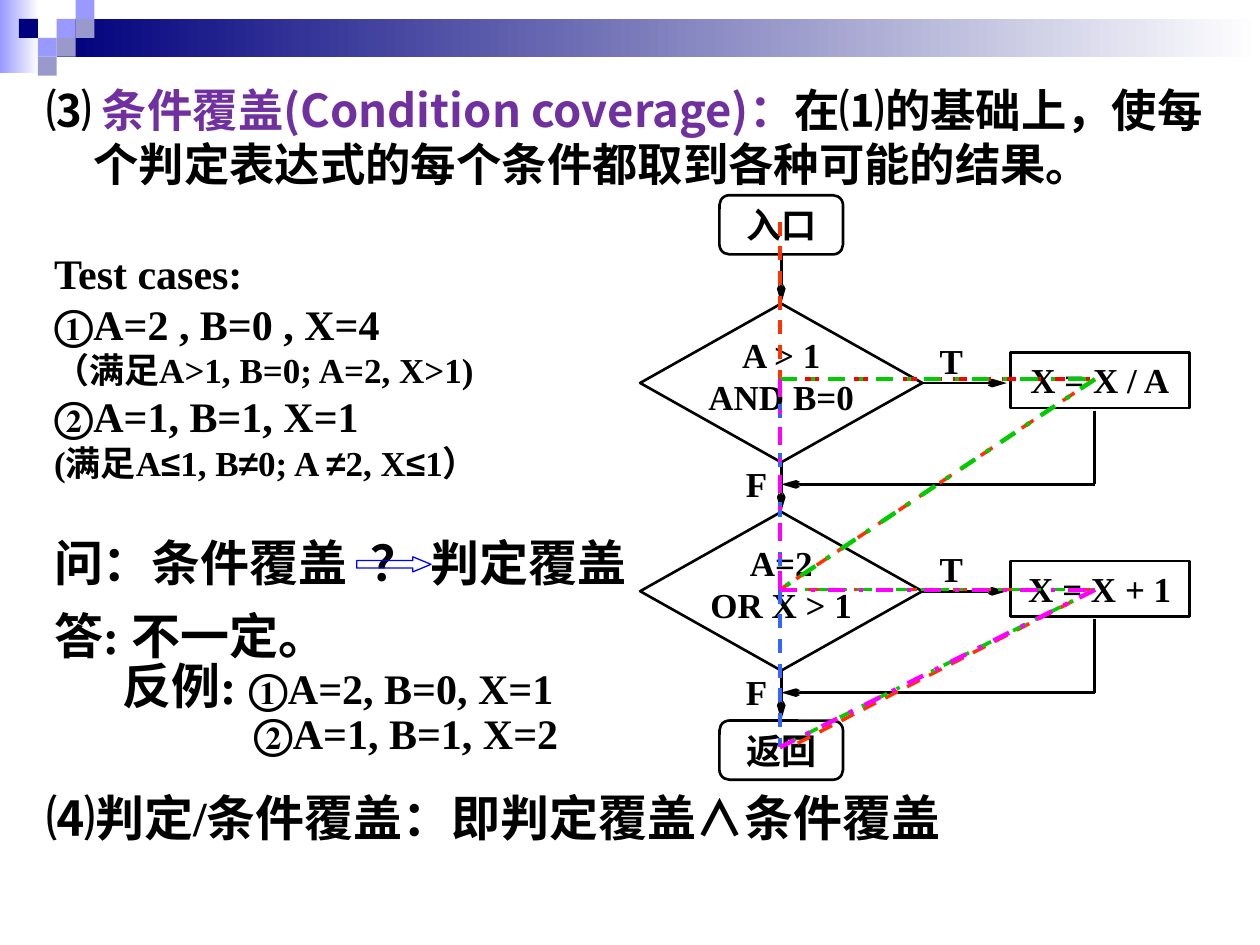
from itertools import groupby

from lxml import etree
from pptx import Presentation
from pptx.dml.color import RGBColor
from pptx.enum.dml import MSO_LINE
from pptx.enum.shapes import MSO_CONNECTOR, MSO_SHAPE
from pptx.enum.text import MSO_ANCHOR, PP_ALIGN
from pptx.oxml.ns import qn
from pptx.util import Pt

LEFT, CENTER, RIGHT = PP_ALIGN.LEFT, PP_ALIGN.CENTER, PP_ALIGN.RIGHT
TOP, MIDDLE = MSO_ANCHOR.TOP, MSO_ANCHOR.MIDDLE
RECT, ARROW = MSO_SHAPE.RECTANGLE, MSO_SHAPE.RIGHT_ARROW
TERMINAL = MSO_SHAPE.FLOWCHART_ALTERNATE_PROCESS
DECISION = MSO_SHAPE.FLOWCHART_DECISION
STRAIGHT = MSO_CONNECTOR.STRAIGHT
DASH, DASH_DOT = MSO_LINE.DASH, MSO_LINE.DASH_DOT
MATH_SYMBOLS = "≤≠∧"
INSETS = (7.2, 3.6, 7.2, 3.6)


def color(hex_code):
    return RGBColor.from_string(hex_code)


class FlowSlide:
    font, math_font, ink = "Times New Roman", "Arial", "000000"

    def __init__(self, page):
        self.page = page

    def fill_frame(self, frame, paras, size, align=LEFT, anchor=TOP, wrap=True,
                   insets=INSETS, hang=0, spacing=None):
        """Each para is a string or a list of (text, size, font, colour) spans."""
        frame.word_wrap, frame.vertical_anchor = wrap, anchor
        (frame.margin_left, frame.margin_top,
         frame.margin_right, frame.margin_bottom) = map(Pt, insets)
        for index, content in enumerate(paras):
            para = frame.paragraphs[0] if index == 0 else frame.add_paragraph()
            para.alignment = align
            if spacing:
                para.line_spacing = spacing
            if hang:
                self.indent(para, hang, -hang)
            spans = [(content,)] if isinstance(content, str) else content
            for text, *style in spans:
                defaults = (size, self.font, self.ink)
                self.add_span(para, text, *style, *defaults[len(style):])

    def add_span(self, para, text, size, font, ink):
        """Add bold text, giving mathematical symbols their own font."""
        for symbol, chars in groupby(text, lambda char: char in MATH_SYMBOLS):
            span = para.add_run()
            span.text = "".join(chars)
            span.font.name = self.math_font if symbol else font
            span.font.size, span.font.bold = Pt(size), True
            span.font.color.rgb = color(ink)

    def indent(self, para, left, first=0):
        props = para._p.get_or_add_pPr()
        props.set("marL", str(Pt(left)))
        props.set("indent", str(Pt(first)))

    def tab_stop(self, para, position):
        stops = etree.SubElement(para._p.get_or_add_pPr(), qn("a:tabLst"))
        etree.SubElement(stops, qn("a:tab"), pos=str(Pt(position)), algn="l")

    def text(self, x, y, width, height, paras, size, **style):
        box = self.page.shapes.add_textbox(Pt(x), Pt(y), Pt(width), Pt(height))
        self.fill_frame(box.text_frame, paras, size, **style)
        return box.text_frame.paragraphs

    def shape(self, kind, x, y, width, height, fill=None, line=None, weight=1.5):
        """A fill of two colours becomes a gradient from left to right."""
        shape = self.page.shapes.add_shape(kind, Pt(x), Pt(y), Pt(width), Pt(height))
        shape.shadow.inherit = False
        if isinstance(fill, tuple):
            shape.fill.gradient()
            shape.fill.gradient_angle = 0
            for stop, code in zip(shape.fill.gradient_stops, fill):
                stop.color.rgb = color(code)
        elif fill:
            shape.fill.solid()
            shape.fill.fore_color.rgb = color(fill)
        else:
            shape.fill.background()
        if line:
            shape.line.color.rgb = color(line)
            shape.line.width = Pt(weight)
        else:
            shape.line.fill.background()
        return shape

    def node(self, kind, x, y, width, height, paras, **style):
        shape = self.shape(kind, x, y, width, height, line=self.ink)
        self.fill_frame(shape.text_frame, paras, 20, align=CENTER, **style)

    def line(self, start, end, ink=ink, weight=1.5, dash=None, arrow=False):
        line = self.page.shapes.add_connector(STRAIGHT, *map(Pt, start + end))
        line.line.color.rgb = color(ink)
        line.line.width = Pt(weight)
        if dash:
            line.line.dash_style = dash
        props = line._element.spPr
        if arrow:
            etree.SubElement(props.find(qn("a:ln")), qn("a:tailEnd"),
                             type="arrow", w="sm", len="lg")
        etree.SubElement(props, qn("a:effectLst"))

    def route(self, ink, weight, dash, *points):
        for start, end in zip(points, points[1:]):
            self.line(start, end, ink, weight, dash)


def add_banner(slide):
    unit = 10.8
    slide.shape(RECT, 0, 0, 22.3, 41.8, ("9999FF", "FFFFFF"))
    slide.shape(RECT, 3 * unit, unit, 687.6, 2 * unit, ("00007D", "FFFFFF"))
    for column, row, fill in ((3, 1, "9999FF"), (4, 0, "9999FF"), (4, 1, "9999CC"),
                              (2, 2, "9999FF"), (1, 1, "00007D"), (3, 2, "9999CC"),
                              (2, 3, "9999CC")):
        slide.shape(RECT, column * unit, row * unit, unit, unit, fill)


def add_texts(slide):
    slide.text(19.4, 43.2, 678.2, 90, [[
        ("⑶ ",),
        ("条件覆盖(Condition coverage)：", 25.9, "Noto Sans CJK JP", "7030A0"),
        ("在⑴的基础上，使每个判定表达式的每个条件都取到各种可能的结果。",),
    ]], 25.9, hang=27)
    slide.text(23.8, 138.2, 275.8, 165.6, [
        "Test cases:",
        "①A=2 , B=0 , X=4",
        [("（满足A>1, B=0; A=2, X>1)", 20)],
        "②A=1, B=1, X=1",
        [("(满足A≤1, B≠0; A ≠2, X≤1）", 20)],
    ], 24, hang=31)
    question = slide.text(23.8, 306, 378, 64.8, ["问：条件覆盖\t？ 判定覆盖"], 28,
                          spacing=0.85)
    slide.tab_stop(question[0], 181)
    answer = slide.text(23.8, 347.8, 329.8, 117.4, [
        "答: 不一定。",
        [("反例: ",), ("①A=2, B=0, X=1", 24)],
        [("②A=1, B=1, X=2", 24)],
    ], 28, spacing=0.85)
    slide.indent(answer[1], 39)
    slide.indent(answer[2], 114)
    slide.text(19.4, 451.4, 671.8, 36, ["⑷判定/条件覆盖：即判定覆盖∧条件覆盖"], 28,
               spacing=0.85)
    implies = slide.shape(ARROW, 203.8, 318.2, 42.5, 8.6, line="0000FF", weight=0.75)
    implies.adjustments[1] = 1.21


def add_flowchart(slide):
    axis, action_x, stage = 446.4, 625.5, 119
    for y, label in ((111.6, "入口"), (411.8, "返回")):
        slide.node(TERMINAL, axis - 35.3, y, 70.6, 33.8, [label],
                   anchor=MIDDLE, wrap=False)
    slide.line((axis, 145.4), (axis, 173.5), arrow=True)
    stages = ((["A > 1", "AND B=0"], "X = X / A"), (["A=2", "OR X > 1"], "X = X + 1"))
    for index, (condition, action) in enumerate(stages):
        top = 173.5 + index * stage
        middle, bottom, merge = top + 45.4, top + 90.7, top + 103.3
        slide.node(DECISION, axis - 80.6, top, 161.3, 90.7, condition,
                   anchor=MIDDLE, wrap=False, insets=(1.4, 0.7, 1.4, 9.4))
        slide.node(RECT, 577.4, top + 28.1, 102.2, 31.7, [action])
        slide.line((527.5, middle), (575.3, middle), arrow=True)
        slide.line((axis, bottom), (axis, bottom + 28.3), arrow=True)
        slide.line((action_x, top + 61.2), (action_x, merge))
        slide.line((action_x, merge), (axis, merge), arrow=True)
        slide.text(522.7, top + 16.8, 41.8, 31.7, ["T"], 20, align=CENTER)
        slide.text(415.4, top + 87, 30.2, 31.7, ["F"], 20, align=RIGHT)


def add_routes(slide):
    main_x, side_x = 445.7, 625.7
    entry, finish, red_finish = (main_x, 126.7), (main_x, 427), (451.4, 427)
    first, second = (main_x, 216.7), (main_x, 337)
    divide, increment = (side_x, 216.7), (side_x, 337)
    slide.route("FF3300", 2, DASH, entry, first)
    slide.route("FF0000", 2, DASH, first, divide)
    slide.route("FF3300", 2, DASH, divide, second, increment, red_finish)
    slide.route("3366FF", 2, DASH, first, second, finish)
    slide.route("00CC00", 2.5, DASH_DOT, first, divide, second)
    slide.route("00CC00", 2, DASH_DOT, second, increment, finish)
    slide.route("FF00FF", 2.5, DASH_DOT, first, second, increment, finish)


def main():
    deck = Presentation()
    deck.slide_width, deck.slide_height = Pt(720), Pt(540)
    slide = FlowSlide(deck.slides.add_slide(deck.slide_layouts[6]))
    add_banner(slide)
    add_texts(slide)
    add_flowchart(slide)
    add_routes(slide)
    deck.save("out.pptx")


if __name__ == "__main__":
    main()
